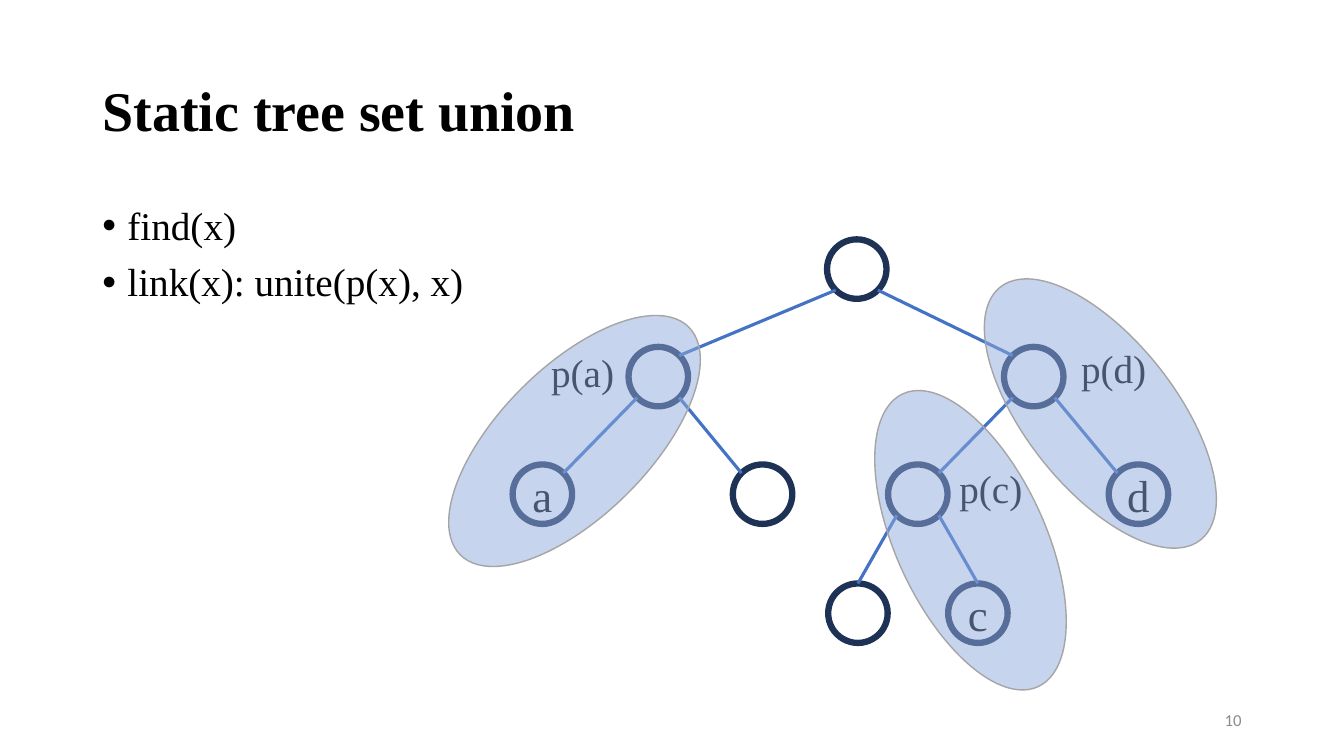
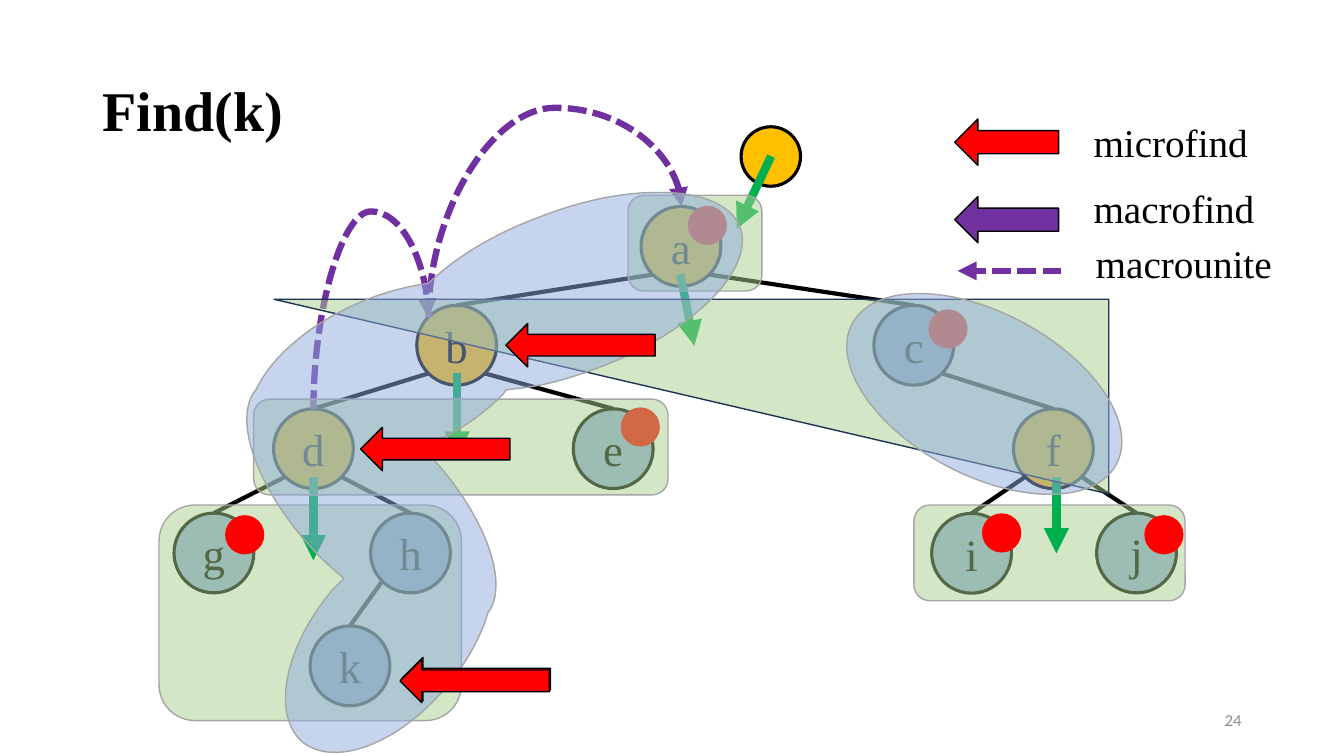
from dataclasses import dataclass

from lxml import etree
from pptx import Presentation
from pptx.dml.color import RGBColor
from pptx.enum import dml, shapes, text
from pptx.oxml import ns
from pptx.util import Pt


@dataclass(frozen=True)
class Theme:
    serif: str = "Times New Roman"
    sans: str = "Calibri"
    title_size: int = 40
    node_size: int = 32
    body_size: int = 28
    number_size: int = 12
    black: str = "000000"
    grey: str = "8C8C8C"
    outline: str = "A5A5A5"
    navy: str = "1E3256"
    blue: str = "4472C4"
    light_blue: str = "8FAADC"
    light_green: str = "A9D18E"
    green: str = "00B050"
    gold: str = "FFC000"
    red: str = "FF0000"
    purple: str = "7030A0"
    opacity: int = 50


THEME = Theme()
KIND = shapes.MSO_SHAPE
SMALL_NODE, LARGE_NODE, DOT = 42.5, 57, 28
DIAGONAL = 0.5 ** 0.5


def set_values(target, values):
    for name, value in values.items():
        setattr(target, name, value)


def add_xml(parent, tag, **attributes):
    element = etree.SubElement(parent, ns.qn(tag))
    for name, value in attributes.items():
        element.set(name, str(value))
    return element


def style_font(font, size, color=THEME.black, name=THEME.serif, bold=False):
    set_values(font, {"size": Pt(size), "name": name, "bold": bold})
    font.color.rgb = RGBColor.from_string(color)


def style_line(line, color, width):
    line.color.rgb = RGBColor.from_string(color)
    line.width = Pt(width)


def style_shape(shape, fill=None, line=None, width=1, opacity=None):
    shape.shadow.inherit = False
    if fill:
        shape.fill.solid()
        shape.fill.fore_color.rgb = RGBColor.from_string(fill)
        if opacity:
            color = shape.fill._xPr.find(".//" + ns.qn("a:srgbClr"))
            add_xml(color, "a:alpha", val=opacity * 1000)
    else:
        shape.fill.background()
    if line:
        style_line(shape.line, line, width)
    else:
        shape.line.fill.background()


def add_shape(slide, kind, box, rotation=0, **style):
    shape = slide.shapes.add_shape(kind, *map(Pt, box))
    shape.rotation = rotation
    style_shape(shape, **style)
    return shape


def add_zone(slide, kind, box, fill, rotation=0, line=THEME.outline):
    """Translucent area that marks a set of nodes."""
    add_shape(slide, kind, box, rotation, fill=fill, line=line,
              opacity=THEME.opacity)


def add_circle(slide, center, diameter, **style):
    x, y = center
    box = (x - diameter / 2, y - diameter / 2, diameter, diameter)
    return add_shape(slide, KIND.OVAL, box, **style)


def add_node(slide, center, diameter, label="", **style):
    frame = add_circle(slide, center, diameter, **style).text_frame
    if not label:
        return
    margins = ("margin_left", "margin_right", "margin_top", "margin_bottom")
    set_values(frame, dict.fromkeys(margins, 0))
    set_values(frame, {"word_wrap": False,
                       "vertical_anchor": text.MSO_ANCHOR.MIDDLE})
    paragraph = frame.paragraphs[0]
    set_values(paragraph, {"text": label, "alignment": text.PP_ALIGN.CENTER})
    style_font(paragraph.font, THEME.node_size)


def add_line(slide, start, end, color, width, arrow=False, dashed=False,
             kind=shapes.MSO_CONNECTOR.STRAIGHT):
    connector = slide.shapes.add_connector(kind, *map(Pt, (*start, *end)))
    style_line(connector.line, color, width)
    if dashed:
        connector.line.dash_style = dml.MSO_LINE.SQUARE_DOT
        preset = connector.line._ln.find(ns.qn("a:prstDash"))
        preset.set("val", "sysDash")
    if arrow:
        add_xml(connector.line._ln, "a:tailEnd", type="triangle")
    add_xml(connector._element.spPr, "a:effectLst")
    return connector


def add_edge(slide, parent, child, diameter, color, width, to_top=True):
    """Join a parent's lower corner to the child's top or facing corner."""
    radius = diameter / 2
    corner = radius * DIAGONAL
    side = 1 if child[0] > parent[0] else -1
    start = (parent[0] + side * corner, parent[1] + corner)
    if to_top:
        end = (child[0], child[1] - radius)
    else:
        end = (child[0] - side * corner, child[1] - corner)
    add_line(slide, start, end, color, width)


def add_arc(slide, start, end, top):
    """Dashed arrow that leaves upwards, bends at top and lands from above."""
    rise, run = start[1] - end[1], end[0] - start[0]
    x, y = (start[0] + end[0]) / 2, (start[1] + end[1]) / 2
    connector = add_line(
        slide, (x + rise / 2, y + run / 2), (x - rise / 2, y - run / 2),
        THEME.purple, 4.5, True, True, shapes.MSO_CONNECTOR.CURVE)
    properties = connector._element.spPr
    properties.find(ns.qn("a:xfrm")).set("rot", str(90 * 60000))
    geometry = properties.find(ns.qn("a:prstGeom"))
    guides = geometry.find(ns.qn("a:avLst"))
    if guides is None:
        guides = add_xml(geometry, "a:avLst")
    bend = round((start[1] - top) / rise * 100000)
    add_xml(guides, "a:gd", name="adj1", fmla=f"val {bend}")


def add_outline_zone(slide, start, segments):
    """Closed outline of lines (x, y) and Bézier curves (three points)."""
    builder = slide.shapes.build_freeform(*map(Pt, start))
    builder.add_line_segments([tuple(map(Pt, segment[-2:]))
                               for segment in segments], close=True)
    shape = builder.convert_to_shape()
    lines = list(shape._element.iter(ns.qn("a:lnTo")))
    for line, segment in zip(lines, segments):
        if len(segment) == 2:
            continue
        line.tag = ns.qn("a:cubicBezTo")
        controls = zip(segment[:4:2], segment[1:4:2])
        for index, (x, y) in enumerate(controls):
            point = add_xml(line, "a:pt", x=Pt(x) - shape.left,
                            y=Pt(y) - shape.top)
            line.insert(index, point)
    style_shape(shape, fill=THEME.light_blue, line=THEME.outline,
                opacity=THEME.opacity)


def add_label(slide, label, left, top, width):
    box = slide.shapes.add_textbox(*map(Pt, (left, top, width, 41)))
    box.text_frame.word_wrap = False
    paragraph = box.text_frame.paragraphs[0]
    paragraph.text = label
    style_font(paragraph.font, THEME.body_size)


def add_bullets(slide, items):
    frame = slide.shapes.add_textbox(*map(Pt, (66, 144, 828, 343))).text_frame
    frame.word_wrap = True
    for index, item in enumerate(items):
        paragraph = frame.add_paragraph() if index else frame.paragraphs[0]
        set_values(paragraph, {"text": item, "line_spacing": 0.9,
                               "space_before": Pt(10 if index else 0)})
        properties = paragraph._p.get_or_add_pPr()
        properties.set("marL", str(Pt(18)))
        properties.set("indent", str(-Pt(18)))
        add_xml(properties, "a:buFont", typeface="Arial")
        add_xml(properties, "a:buChar", char="•")
        style_font(paragraph.font, THEME.body_size)


def add_slide(presentation, title, number):
    slide = presentation.slides.add_slide(presentation.slide_layouts[5])
    shape = slide.shapes.title
    set_values(shape, {"left": Pt(66), "top": Pt(28.8),
                       "width": Pt(828), "height": Pt(104.4)})
    number_box = slide.shapes.add_textbox(*map(Pt, (678, 500.6, 216, 28.8)))
    for box, words, align, font in (
            (shape, title, text.PP_ALIGN.LEFT,
             {"size": THEME.title_size, "bold": True}),
            (number_box, str(number), text.PP_ALIGN.RIGHT,
             {"size": THEME.number_size, "color": THEME.grey,
              "name": THEME.sans})):
        set_values(box.text_frame, {"word_wrap": True,
                                    "vertical_anchor": text.MSO_ANCHOR.MIDDLE})
        paragraph = box.text_frame.paragraphs[0]
        set_values(paragraph, {"text": words, "alignment": align,
                               "line_spacing": 0.9})
        style_font(paragraph.font, **font)
    return slide


def build_union_slide(presentation):
    slide = add_slide(presentation, "Static tree set union", 10)
    add_bullets(slide, ("find(x)", "link(x): unite(p(x), x)"))
    nodes = {"root": (612, 192.2), "p(a)": (470.2, 269), "p(d)": (738.4, 269),
             "a": (387.4, 353), "a2": (544.7, 353),
             "p(c)": (655.6, 353), "d": (813.2, 353),
             "c2": (612.8, 438), "c": (698.5, 438)}
    for name, center in nodes.items():
        add_node(slide, center, SMALL_NODE, name if name in "acd" else "",
                 line=THEME.navy, width=4.5)
    children = {"root": ("p(a)", "p(d)"), "p(a)": ("a", "a2"),
                "p(d)": ("p(c)", "d"), "p(c)": ("c2", "c")}
    for parent, names in children.items():
        for child in names:
            add_edge(slide, nodes[parent], nodes[child], SMALL_NODE,
                     THEME.blue, 2.25, to_top=parent == "p(c)")
    for label, left, top in (("p(d)", 765.1, 242.6), ("p(a)", 386.6, 245.2),
                             ("p(c)", 678.2, 328.3)):
        add_label(slide, label, left, top, 62)
    width, height = 230.4, 106.6
    for x, y, rotation in ((410.4, 315, 315.1), (786, 295.4, 51.6),
                           (693.2, 385.9, 65.2)):
        add_zone(slide, KIND.OVAL,
                 (x - width / 2, y - height / 2, width, height),
                 THEME.light_blue, rotation)


def build_find_tree(slide):
    nodes = {"a": (486.4, 176), "b": (326.2, 246.6), "c": (652.7, 246.6),
             "d": (223.9, 320.5), "e": (438, 320.5), "f": (752.4, 320.5),
             "g": (152.8, 395), "h": (293.2, 395), "i": (694, 395.2),
             "j": (811.8, 395), "k": (250, 475.6)}
    add_node(slide, (550.6, 111.8), SMALL_NODE, fill=THEME.gold,
             line=THEME.black, width=2.25)
    for name, center in nodes.items():
        fill = THEME.gold if name in "abdf" else THEME.light_blue
        add_node(slide, center, LARGE_NODE, name, fill=fill,
                 line=THEME.black, width=2.25)
    for parent, child in ("ab", "ac", "bd", "be", "cf", "dg", "dh", "fi",
                          "fj", "hk"):
        add_edge(slide, nodes[parent], nodes[child], LARGE_NODE,
                 THEME.black, 3)


def build_find_zones(slide):
    for box in ((448.6, 139.5, 95.6, 68.4), (181.2, 285.1, 296, 68.4)):
        add_zone(slide, KIND.ROUNDED_RECTANGLE, box, THEME.light_green)
    add_zone(slide, KIND.RIGHT_TRIANGLE, (195.8, 213.8, 596.2, 139),
             THEME.light_green, 180, THEME.navy)
    add_zone(slide, KIND.OVAL, (596.2, 223.4, 213.8, 116),
             THEME.light_blue, 28)
    add_outline_zone(slide, (468, 137.5), (
        (499, 136.8, 522, 145.4, 528.5, 162),
        (540, 192.2, 494.6, 237.6, 427, 262.8),
        (409.7, 269.3, 393.1, 274.3, 377.3, 276.5), (361.4, 278.6),
        (360.7, 280), (350.6, 290.9, 337, 301.7, 321.1, 310.3),
        (301.7, 319.7), (303.8, 321.8),
        (344.9, 364.3, 364.3, 414.7, 349.2, 437), (348.5, 437.8),
        (347, 442.8), (341.3, 458.6, 331.9, 475.2, 319, 490.3),
        (285.1, 531.4, 239, 548.6, 216, 529.9),
        (193.7, 510.5, 203, 462.2, 237.6, 421.2), (245.5, 413.3),
        (244.1, 411.8), (238.3, 406.8, 232.6, 401.8, 226.8, 396),
        (185.8, 352.8, 166.3, 303.1, 181.4, 280.1), (182.2, 279.4),
        (185, 274.3), (196.6, 252.7, 223.2, 230.4, 257, 216),
        (272.2, 209.5, 288, 205.2, 302.4, 203), (306, 202.3), (312.5, 196.6),
        (330.5, 180.7, 356.4, 165.6, 385.9, 154.8),
        (415.4, 143.3, 444.2, 137.5, 468, 137.5)))


def build_find_slide(presentation):
    slide = add_slide(presentation, "Find(k)", 24)
    build_find_tree(slide)
    for box in ((113.6, 360.7, 216, 154), (652.8, 360.7, 193.7, 68.4)):
        add_zone(slide, KIND.ROUNDED_RECTANGLE, box, THEME.light_green)
    for start, end in (((754.6, 340.6), (754.6, 395.3)),
                       ((550.8, 111.6), (526.3, 163.4)),
                       ((486, 195.8), (496, 247)),
                       ((326.6, 266.4), (326.6, 326.2)),
                       ((223.9, 340.6), (223.9, 400.3))):
        add_line(slide, start, end, THEME.green, 6, arrow=True)
    for center in ((505.3, 161), (677.2, 235), (715.5, 380.7), (457.4, 305),
                   (174.8, 382), (831.4, 382)):
        add_circle(slide, center, DOT, fill=THEME.red)
    add_arc(slide, (223.9, 292.3), (306, 226.8), 151)
    add_arc(slide, (306, 226.8), (486.7, 147.6), 77)
    build_find_zones(slide)
    legend, step = (74.2, 33.1), (106.6, 31)
    for left, top, size, fill in (
            (286.6, 469.6, step, THEME.red), (285.8, 470.9, step, THEME.red),
            (257.6, 305.3, step, THEME.red), (361.4, 231.1, step, THEME.red),
            (682, 85, legend, THEME.red), (682, 140.4, legend, THEME.purple)):
        add_shape(slide, KIND.LEFT_ARROW, (left, top, *size), fill=fill,
                  line=THEME.black)
    add_line(slide, (758.2, 193.5), (684, 193.5), THEME.purple, 4.5,
             arrow=True, dashed=True)
    for label, left, top, width in (("microfind", 774, 81, 126),
                                    ("macrofind", 774, 128.2, 130.3),
                                    ("macrounite", 775.6, 167.4, 142)):
        add_label(slide, label, left, top, width)


def main():
    presentation = Presentation()
    set_values(presentation, {"slide_width": Pt(960), "slide_height": Pt(540)})
    build_union_slide(presentation)
    build_find_slide(presentation)
    presentation.save("out.pptx")


if __name__ == "__main__":
    main()
